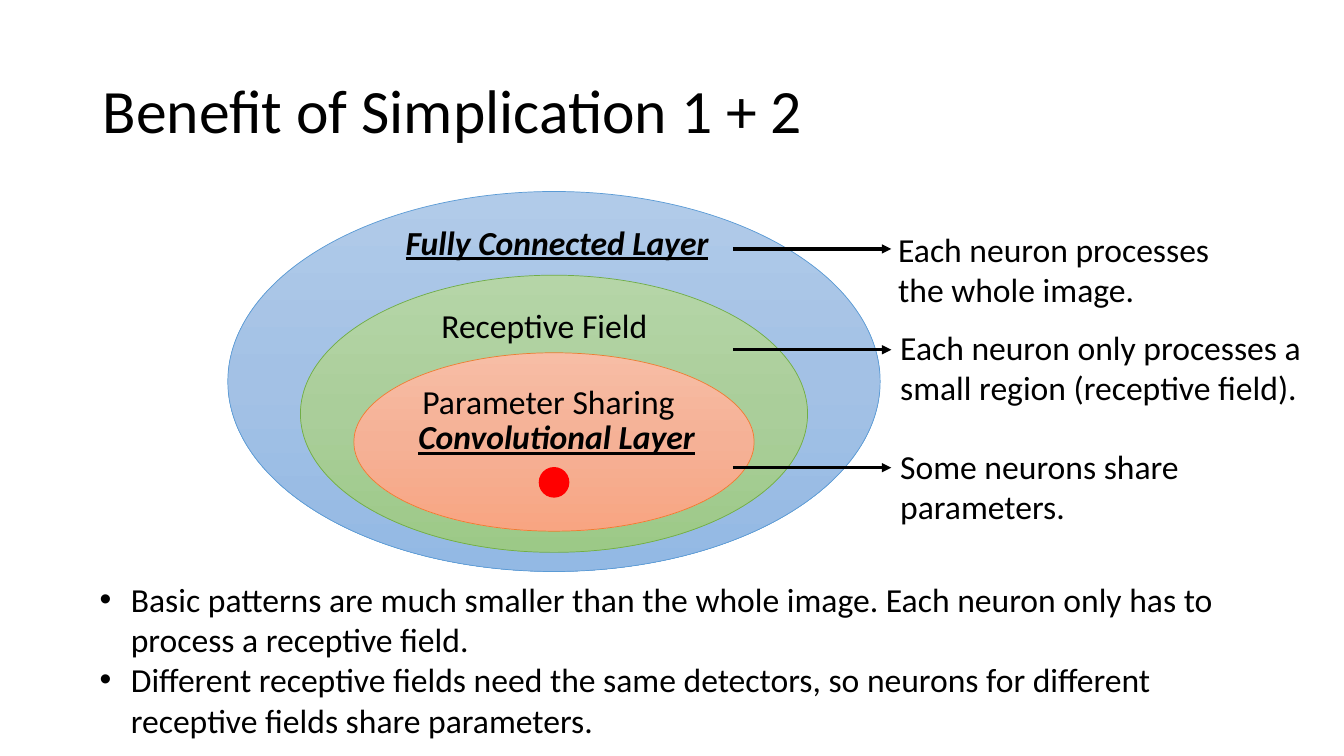
from copy import deepcopy
from dataclasses import dataclass

from lxml.etree import SubElement
from pptx import Presentation
from pptx.dml.color import RGBColor as RGB
from pptx.enum.shapes import MSO_CONNECTOR as CONN, MSO_SHAPE as SHAPE
from pptx.enum.text import MSO_ANCHOR as ANCHOR, MSO_AUTO_SIZE as FIT, PP_ALIGN as ALIGN
from pptx.oxml.ns import qn
from pptx.util import Inches, Pt


@dataclass(frozen=True)
class Theme:
    """Colours, font and type sizes of the slide."""
    font: str = "Calibri"
    title: int = 44
    body: int = 24
    ink: str = "000000"
    dot: str = "FF0000"
    full: tuple = ("5B9BD5", "B1CBE9", "A3C1E5", "93B9E4")
    field: tuple = ("70AD47", "B5D5A7", "AACE9A", "9CC987")
    sharing: tuple = ("ED7D31", "F7BDA5", "F5B196", "F8A582")


class Deck:
    """Draws styled elements on the current slide."""

    def __init__(self, prs, theme):
        """Add a blank slide and keep the theme."""
        self.theme = theme
        self.s = prs.slides.add_slide(prs.slide_layouts[6])

    def text(self, box, *lines, size=None, strong=False, align=None, bullet=False):
        """Add a text box with one paragraph per line."""
        tf = self.s.shapes.add_textbox(*map(Inches, box)).text_frame
        tf.word_wrap = True
        tf.auto_size = FIT.SHAPE_TO_FIT_TEXT
        tf.text = "\n".join(lines)
        for p in tf.paragraphs:
            p.alignment = align
            if bullet:
                pPr = p._p.get_or_add_pPr()
                pPr.set("marL", str(Inches(0.31)))
                pPr.set("indent", str(Inches(-0.31)))
                SubElement(pPr, qn("a:buFont"), typeface="Arial")
                SubElement(pPr, qn("a:buChar"), char="•")
            for r in p.runs:
                r.font.name = self.theme.font
                r.font.size = Pt(size or self.theme.body)
                r.font.color.rgb = RGB.from_string(self.theme.ink)
                if strong:
                    r.font.bold = r.font.italic = r.font.underline = True
        return tf

    def title(self, box, words):
        """Add the slide title, centred vertically in its box."""
        tf = self.text(box, words, size=self.theme.title)
        tf.auto_size = FIT.NONE
        tf.vertical_anchor = ANCHOR.MIDDLE
        tf.paragraphs[0].line_spacing = 0.9

    def ellipse(self, box, line, weight):
        """Add an outlined ellipse without a shadow."""
        sp = self.s.shapes.add_shape(SHAPE.OVAL, *map(Inches, box))
        sp.shadow.inherit = False
        sp.line.color.rgb = RGB.from_string(line)
        sp.line.width = Pt(weight)
        return sp

    def layer(self, box, colors):
        """Add an ellipse shaded from top to bottom in three stops."""
        line, *shades = colors
        sp = self.ellipse(box, line, 0.5)
        sp.fill.gradient()
        sp.fill.gradient_angle = 270
        stops = sp._element.spPr.find(qn("a:gradFill")).find(qn("a:gsLst"))
        stops.append(deepcopy(stops[-1]))
        for i, (stop, shade) in enumerate(zip(sp.fill.gradient_stops, shades)):
            stop.position = i / 2
            stop.color.rgb = RGB.from_string(shade)

    def dot(self, box):
        """Add a solid dot."""
        sp = self.ellipse(box, self.theme.dot, 1)
        sp.fill.solid()
        sp.fill.fore_color.rgb = RGB.from_string(self.theme.dot)

    def arrow(self, x1, x2, y):
        """Add a horizontal arrow."""
        ends = map(Inches, (x1, y, x2, y))
        c = self.s.shapes.add_connector(CONN.STRAIGHT, *ends)
        c.line.color.rgb = RGB.from_string(self.theme.ink)
        c.line.width = Pt(2.25)
        SubElement(c.line._get_or_add_ln(), qn("a:tailEnd"), type="triangle")
        SubElement(c._element.spPr, qn("a:effectLst"))


def main():
    """Build the slide and save it."""
    prs = Presentation()
    prs.slide_width, prs.slide_height = Inches(13.33), Inches(7.5)
    theme = Theme()
    deck = Deck(prs, theme)
    deck.title((0.92, 0.4, 11.5, 1.45), "Benefit of Simplication 1 + 2")

    deck.layer((2.26, 1.9, 6.47, 3.77), theme.full)
    deck.text((3.54, 2.15, 3.97, 0.5), "Fully Connected Layer",
              strong=True, align=ALIGN.CENTER)
    deck.layer((2.98, 2.73, 5.03, 2.75), theme.field)
    deck.text((4.28, 2.98, 2.56, 0.5), "Receptive Field")
    deck.layer((3.51, 3.5, 3.97, 1.77), theme.sharing)
    deck.text((4.09, 3.73, 2.95, 0.5), "Parameter Sharing")
    deck.text((4.05, 4.08, 2.95, 0.5), "Convolutional Layer", strong=True)
    deck.dot((5.35, 4.64, 0.29, 0.29))

    notes = [
        (2.47, (8.81, 2.22, 3.63, 0.91), "Each neuron processes the whole image."),
        (3.47, (8.83, 3.19, 4.53, 0.91),
         "Each neuron only processes a small region (receptive field)."),
        (4.64, (8.83, 4.37, 4.38, 0.91), "Some neurons share parameters."),
    ]
    for y, box, words in notes:
        deck.text(box, words)
        deck.arrow(7.27, 8.84, y)

    deck.text((0.89, 5.69, 11.53, 1.72),
              "Basic patterns are much smaller than the whole image. "
              "Each neuron only has to process a receptive field.",
              "Different receptive fields need the same detectors, "
              "so neurons for different receptive fields share parameters.",
              bullet=True)
    prs.save("out.pptx")


if __name__ == "__main__":
    main()
